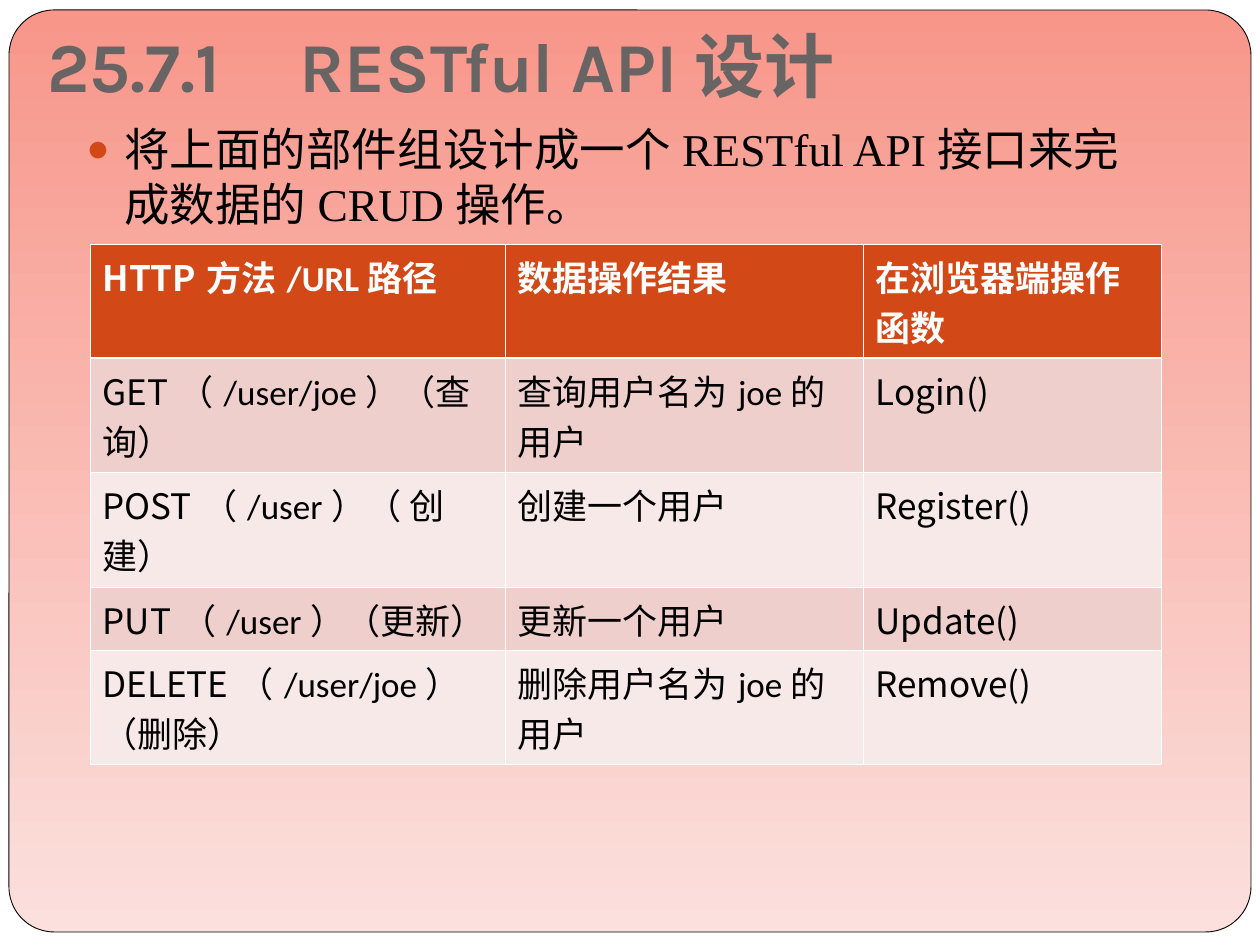
import pptx
import pptx.dml.color
import pptx.enum.shapes
import pptx.enum.text
import pptx.oxml
import pptx.oxml.ns
import pptx.util
from lxml import etree

RGB = pptx.dml.color.RGBColor
WHITE = RGB(0xFF, 0xFF, 0xFF)
BLACK = RGB(0, 0, 0)
GRAY = RGB(0x69, 0x64, 0x64)
ORANGE = RGB(0xD3, 0x48, 0x17)
ROSE = RGB(0xEF, 0xCF, 0xCC)
PALE_ROSE = RGB(0xF7, 0xE9, 0xE7)
GRADIENT = (RGB(0xF8, 0x96, 0x8A), RGB(0xFB, 0xE0, 0xDD))
CJK_FONT = "Noto Sans CJK SC"
LATIN_FONT = "Calibri"
BODY_FONT = "Times New Roman"

HEADERS = [[("HTTP", CJK_FONT), ("方法/URL路径", LATIN_FONT)],
           [("数据操作结果", LATIN_FONT)],
           [("在浏览器端操作函数", LATIN_FONT)]]
METHODS = [("GET", "（/user/joe）（查询）", "查询用户名为joe的用户", "Login()"),
           ("POST", "（/user）（ 创建）", "创建一个用户", "Register()"),
           ("PUT", "（/user）（更新）", "更新一个用户", "Update()"),
           ("DELETE", "（/user/joe）（删除）", "删除用户名为joe的用户", "Remove()")]


def px(length):
    return pptx.util.Inches(length / 126)


def add_xml(parent, tag, **attributes):
    return etree.SubElement(parent, pptx.oxml.ns.qn(tag), attributes)


def add_text(para, text, font=LATIN_FONT, size=20, color=BLACK, bold=False):
    span = para.add_run()
    span.text = text
    span.font.name = font
    span.font.size = pptx.util.Pt(size)
    span.font.bold = bold
    span.font.color.rgb = color
    add_xml(span.font._element, "a:ea", typeface=CJK_FONT)


def fill_gradient(fill):
    fill.gradient()
    fill.gradient_angle = 270
    for stop, color in zip(fill.gradient_stops, GRADIENT):
        stop.color.rgb = color


def add_backdrop(page, left, top, width, height):
    fill_gradient(page.background.fill)
    kinds = pptx.enum.shapes.MSO_SHAPE
    sheet = page.shapes.add_shape(kinds.RECTANGLE, 0, 0, px(1260), px(945))
    sheet.fill.solid()
    sheet.fill.fore_color.rgb = WHITE
    sheet.line.fill.background()
    panel = page.shapes.add_shape(kinds.ROUNDED_RECTANGLE, px(left), px(top), px(width), px(height))
    panel.adjustments[0] = 0.049
    fill_gradient(panel.fill)
    panel.line.color.rgb = BLACK
    panel.line.width = pptx.util.Pt(0.5)
    for shape in (sheet, panel):
        shape.shadow.inherit = False


def add_title(page, left, top, width, height):
    title = page.shapes.title
    title.left, title.top, title.width, title.height = map(px, (left, top, width, height))
    # Bring the title in front of the backdrop
    page.shapes._spTree.append(title._element)
    frame = title.text_frame
    frame.word_wrap = True
    frame.auto_size = pptx.enum.text.MSO_AUTO_SIZE.NONE
    frame.vertical_anchor = pptx.enum.text.MSO_ANCHOR.BOTTOM
    frame.margin_bottom = px(13)
    para = frame.paragraphs[0]
    para.alignment = pptx.enum.text.PP_ALIGN.LEFT
    # Tab stop between the section number and the name
    tabs = add_xml(para._p.get_or_add_pPr(), "a:tabLst")
    add_xml(tabs, "a:tab", pos=str(px(252)), algn="l")
    add_text(para, "25.7.1\tRESTful API设计", font="Karla", size=40, color=GRAY, bold=True)


def add_summary(page, left, top, width, height):
    box = page.shapes.add_textbox(px(left), px(top), px(width), px(height))
    box.text_frame.word_wrap = True
    para = box.text_frame.paragraphs[0]
    para.space_before = pptx.util.Pt(5.8)
    # Hanging round bullet
    layout = para._p.get_or_add_pPr()
    layout.set("marL", str(px(38)))
    layout.set("indent", str(px(-38)))
    add_xml(add_xml(layout, "a:buClr"), "a:srgbClr", val=str(ORANGE))
    add_xml(layout, "a:buSzPct", val="85000")
    add_xml(layout, "a:buFont", typeface=BODY_FONT)
    add_xml(layout, "a:buChar", char="●")
    add_text(para, "将上面的部件组设计成一个RESTful API接口来完成数据的CRUD操作。",
             font=BODY_FONT, size=26)


def set_borders(cell, **widths):
    properties = cell._tc.get_or_add_tcPr()
    for position, side in enumerate(("L", "R", "T", "B")):
        width = pptx.util.Pt(widths.get(side, 0.45))
        border = etree.Element(pptx.oxml.ns.qn("a:ln" + side), w=str(width))
        add_xml(add_xml(border, "a:solidFill"), "a:srgbClr", val=str(WHITE))
        properties.insert(position, border)


def add_method_table(page, left, top, columns, rows):
    table = page.shapes.add_table(len(rows), len(columns), px(left), px(top),
                                  px(sum(columns)), px(sum(rows))).table
    for column, width in zip(table.columns, columns):
        column.width = px(width)
    for row, height in zip(table.rows, rows):
        row.height = px(height)
    contents = [HEADERS] + [
        [[(method, CJK_FONT), (route, LATIN_FONT)], [(result, LATIN_FONT)], [(function, CJK_FONT)]]
        for method, route, result, function in METHODS]
    heavy_sides = {0: {"B": 1.47}, 1: {"T": 1.47}}
    for i, line in enumerate(contents):
        for j, spans in enumerate(line):
            cell = table.cell(i, j)
            cell.fill.solid()
            cell.fill.fore_color.rgb = ORANGE if i == 0 else (PALE_ROSE, ROSE)[i % 2]
            set_borders(cell, **heavy_sides.get(i, {}))
            for text, font in spans:
                add_text(cell.text_frame.paragraphs[0], text, font=font,
                         color=WHITE if i == 0 else BLACK, bold=i == 0)


def main():
    deck = pptx.Presentation()
    deck.slide_width, deck.slide_height = px(1260), px(945)
    page = deck.slides.add_slide(deck.slide_layouts[5])
    add_backdrop(page, 9, 10, 1242, 922)
    add_title(page, 35, 18, 1205, 102)
    add_summary(page, 74, 115, 1091, 694)
    add_method_table(page, 90, 244, columns=(415, 358, 298), rows=(114, 114, 115, 63, 114))
    deck.save("out.pptx")


if __name__ == "__main__":
    main()
